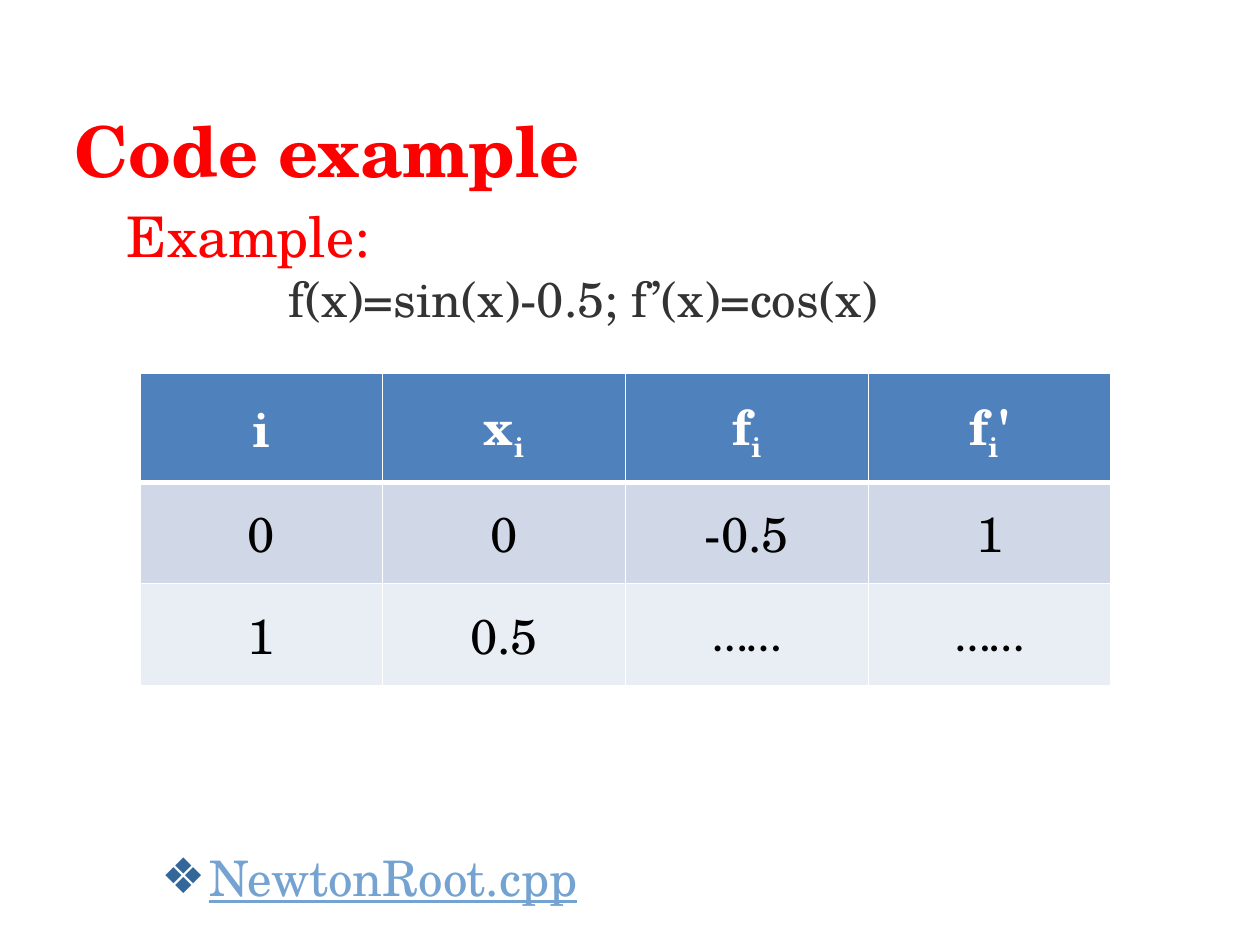
from lxml import etree
from pptx import Presentation
from pptx.dml.color import RGBColor
from pptx.enum.text import MSO_ANCHOR, MSO_AUTO_SIZE, PP_ALIGN
from pptx.oxml.ns import qn
from pptx.util import Inches, Pt

LEFT, CENTER = PP_ALIGN.LEFT, PP_ALIGN.CENTER
MIDDLE = MSO_ANCHOR.MIDDLE
NO_AUTO_SIZE, FIT_SHAPE = MSO_AUTO_SIZE.NONE, MSO_AUTO_SIZE.SHAPE_TO_FIT_TEXT

RED = RGBColor(0xFF, 0x00, 0x00)
DARK_GRAY = RGBColor(0x33, 0x33, 0x33)
BLACK = RGBColor(0x00, 0x00, 0x00)
WHITE = RGBColor(0xFF, 0xFF, 0xFF)
LINK_BLUE = RGBColor(0x75, 0xA3, 0xD1)
BULLET_BLUE = RGBColor(0x33, 0x66, 0x99)
HEADER_BLUE = RGBColor(0x4F, 0x81, 0xBD)
ROW_FILLS = [HEADER_BLUE, RGBColor(0xD0, 0xD8, 0xE8), RGBColor(0xE9, 0xED, 0xF4)]

FONT = "TeX Gyre Schola"
DOTS_FONT = "Calibri"
DOTS = "……"
SUBSCRIPT = "-25000"

# Each cell is a list of runs; the second run of a header is its subscript.
ITERATIONS = [
    [["i"], ["x", "i"], ["f", "i"], ["f", "i", "'"]],
    [["0"], ["0"], ["-0.5"], ["1"]],
    [["1"], ["0.5"], [DOTS], [DOTS]],
]


def add_solid_fill(parent, color):
    fill = etree.SubElement(parent, qn("a:solidFill"))
    etree.SubElement(fill, qn("a:srgbClr"), val=str(color))


class SlideBuilder:
    def __init__(self, presentation):
        self.font = FONT
        self.space_before = Pt(5.6)
        self.slide = presentation.slides.add_slide(presentation.slide_layouts[1])

    def place(self, shape, left, top, width, height):
        shape.left, shape.top = Inches(left), Inches(top)
        shape.width, shape.height = Inches(width), Inches(height)

    def style_run(self, run, size, color, bold=False, font=None):
        run.font.name = font or self.font
        run.font.size = Pt(size)
        run.font.color.rgb = color
        run.font.bold = bold

    def title(self, text, *box):
        shape = self.slide.shapes.title
        self.place(shape, *box)
        frame = shape.text_frame
        frame.text = text
        frame.vertical_anchor = MIDDLE
        frame.auto_size = NO_AUTO_SIZE
        frame.paragraphs[0].alignment = LEFT
        self.style_run(frame.paragraphs[0].runs[0], 40, RED, bold=True)

    def bullet(self, text, *box):
        shape = self.slide.placeholders[1]
        self.place(shape, *box)
        frame = shape.text_frame
        frame.text = text
        frame.auto_size = NO_AUTO_SIZE
        paragraph = frame.paragraphs[0]
        paragraph.line_spacing = 1.4
        paragraph.space_before = self.space_before
        run = paragraph.runs[0]
        self.style_run(run, 28, LINK_BLUE)
        run.font.underline = True
        properties = paragraph._p.get_or_add_pPr()
        properties.set("marL", str(Inches(0.38)))
        properties.set("indent", str(Inches(-0.38)))
        bullet_color = etree.SubElement(properties, qn("a:buClr"))
        etree.SubElement(bullet_color, qn("a:srgbClr"), val=str(BULLET_BLUE))
        etree.SubElement(properties, qn("a:buChar"), char="❖")

    def text_box(self, lines, *box):
        """Add a text box; each line is text, size, colour and alignment."""
        shape = self.slide.shapes.add_textbox(*map(Inches, box))
        frame = shape.text_frame
        frame.word_wrap = True
        frame.auto_size = FIT_SHAPE
        frame.text = "\n".join(line[0] for line in lines)
        for paragraph, (_, size, color, alignment) in zip(frame.paragraphs, lines):
            paragraph.alignment = alignment
            self.style_run(paragraph.runs[0], size, color)

    def table(self, rows, row_heights, *box):
        frame = self.slide.shapes.add_table(len(rows), len(rows[0]), *map(Inches, box))
        table = frame.table
        for row_index, (row, height) in enumerate(zip(rows, row_heights)):
            table.rows[row_index].height = Inches(height)
            for column_index, parts in enumerate(row):
                self.cell(table.cell(row_index, column_index), parts, row_index)

    def cell(self, cell, parts, row_index):
        is_header = row_index == 0
        cell.vertical_anchor = MIDDLE
        self.borders(cell, top=3 if row_index == 1 else 1, bottom=3 if is_header else 1)
        cell.fill.solid()
        cell.fill.fore_color.rgb = ROW_FILLS[row_index]
        paragraph = cell.text_frame.paragraphs[0]
        paragraph.alignment = CENTER
        paragraph.space_before = self.space_before
        for index, part in enumerate(parts):
            run = paragraph.add_run()
            run.text = part
            self.style_run(run, 28, WHITE if is_header else BLACK, is_header,
                           DOTS_FONT if part == DOTS else None)
            if index == 1:
                run._r.get_or_add_rPr().set("baseline", SUBSCRIPT)

    def borders(self, cell, top, bottom):
        properties = cell._tc.get_or_add_tcPr()
        for side, width in (("L", 1), ("R", 1), ("T", top), ("B", bottom)):
            line = etree.SubElement(properties, qn(f"a:ln{side}"), w=str(Pt(width)))
            add_solid_fill(line, WHITE)


def main():
    presentation = Presentation()
    presentation.slide_width, presentation.slide_height = Inches(10), Inches(7.5)
    builder = SlideBuilder(presentation)
    builder.title("Code example", 0.49, 0.73, 9, 0.92)
    builder.bullet("NewtonRoot.cpp", 1.18, 6.49, 4.29, 0.67)
    builder.text_box([
        ("Example:", 32, RED, LEFT),
        ("f(x)=sin(x)-0.5; f’(x)=cos(x)", 28, DARK_GRAY, CENTER),
    ], 0.91, 1.55, 7.44, 1.1)
    builder.table(ITERATIONS, [0.87, 0.8, 0.81], 1.11, 2.96, 7.71, 2.48)
    presentation.save("out.pptx")


if __name__ == "__main__":
    main()
